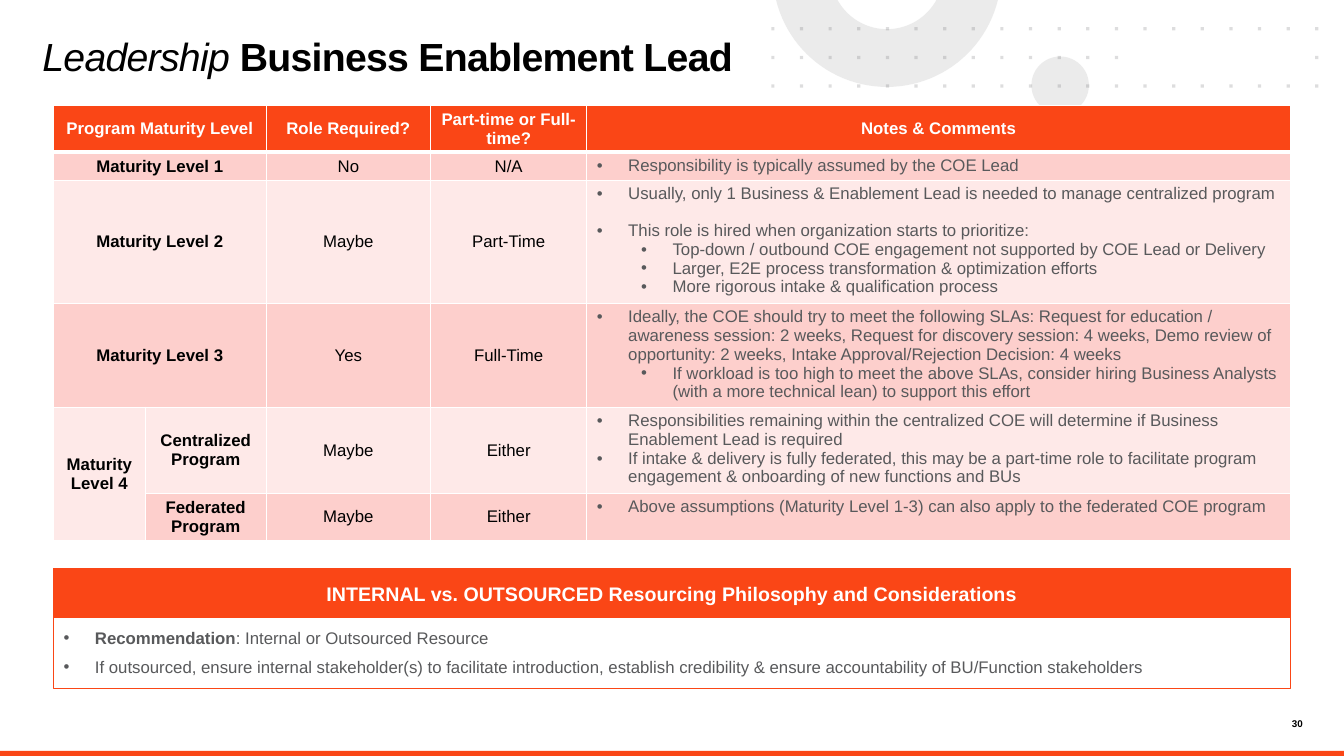
"""Build the slide on staffing the Business Enablement Lead role."""
from dataclasses import dataclass
from math import asin, cos, pi, sin

from lxml.etree import SubElement
from pptx import Presentation
from pptx.dml.color import RGBColor
from pptx.enum.shapes import MSO_SHAPE
from pptx.enum.text import MSO_ANCHOR, MSO_AUTO_SIZE, PP_ALIGN
from pptx.oxml.ns import qn
from pptx.shapes.autoshape import Shape
from pptx.slide import Slide
from pptx.table import _Cell
from pptx.text.text import TextFrame
from pptx.util import Emu, Inches, Pt

ORANGE = RGBColor(0xFA, 0x46, 0x16)
DARK_PINK = RGBColor(0xFD, 0xCF, 0xCC)
LIGHT_PINK = RGBColor(0xFE, 0xE9, 0xE8)
SLATE = RGBColor(0x58, 0x59, 0x5B)
SILVER = RGBColor(0xD9, 0xD9, 0xD9)
BLACK = RGBColor(0, 0, 0)
WHITE = RGBColor(255, 255, 255)

WIDTH, HEIGHT = Inches(13.33), Inches(7.5)
LEFT, SPAN = 3.98, 92.04
COLUMNS = (6.83, 9, 12.23, 11.63, 52.35)
ROWS = (6.2, 3.7, 16.3, 13.75, 11.4, 6.2)
HEADINGS = ("Program Maturity Level", "", "Role Required?", "Part-time or Full-time?", "Notes & Comments")
BULLET_INDENTS = (2.33, 5.63)


@dataclass(frozen=True)
class Note:
    """One bulleted comment."""
    text: str
    depth: int = 0
    gap: float = 0


@dataclass(frozen=True)
class Level:
    """One row of the maturity table."""
    name: str
    program: str
    required: str
    time: str
    notes: tuple[Note, ...]


LEVELS = (
    Level("Maturity Level 1", "", "No", "N/A", (
        Note("Responsibility is typically assumed by the COE Lead"),)),
    Level("Maturity Level 2", "", "Maybe", "Part-Time", (
        Note("Usually, only 1 Business & Enablement Lead is needed to manage centralized program"),
        Note("This role is hired when organization starts to prioritize:", gap=13),
        Note("Top-down / outbound COE engagement not supported by COE Lead or Delivery", 1),
        Note("Larger, E2E process transformation & optimization efforts", 1),
        Note("More rigorous intake & qualification process", 1))),
    Level("Maturity Level 3", "", "Yes", "Full-Time", (
        Note("Ideally, the COE should try to meet the following SLAs: Request for education / awareness "
             "session: 2 weeks, Request for discovery session: 4 weeks, Demo review of opportunity: "
             "2 weeks, Intake Approval/Rejection Decision: 4 weeks"),
        Note("If workload is too high to meet the above SLAs, consider hiring Business Analysts "
             "(with a more technical lean) to support this effort", 1))),
    Level("Maturity Level 4", "Centralized Program", "Maybe", "Either", (
        Note("Responsibilities remaining within the centralized COE will determine if Business "
             "Enablement Lead is required"),
        Note("If intake & delivery is fully federated, this may be a part-time role to facilitate "
             "program engagement & onboarding of new functions and BUs"))),
    Level("", "Federated Program", "Maybe", "Either", (
        Note("Above assumptions (Maturity Level 1-3) can also apply to the federated COE program"),)),
)


def across(percent: float) -> Emu:
    """Return a share of the slide's width."""
    return Emu(round(WIDTH * percent / 100))


def down(percent: float) -> Emu:
    """Return a share of the slide's height."""
    return Emu(round(HEIGHT * percent / 100))


def write(frame: TextFrame, text: str, *, size: float = 12, color: RGBColor = BLACK, bold: bool = False,
          italic: bool = False, align: PP_ALIGN = PP_ALIGN.LEFT, depth: int | None = None,
          before: float = 0, after: float = 0, leading: float = 1, tracking: int = 0,
          join: bool = False) -> None:
    """Add formatted text as a new paragraph or as a further run."""
    paragraph = frame.paragraphs[-1]
    if paragraph.runs and not join:
        paragraph = frame.add_paragraph()
    if not join:
        paragraph.alignment = align
        paragraph.line_spacing = leading
        paragraph.space_before, paragraph.space_after = Pt(before), Pt(after)
        if depth is not None:
            properties = paragraph._p.get_or_add_pPr()
            properties.set("marL", str(across(BULLET_INDENTS[depth])))
            properties.set("indent", str(-across(BULLET_INDENTS[0])))
            SubElement(properties, qn("a:buFont"), typeface="Arial")
            SubElement(properties, qn("a:buChar"), char="•")
    run = paragraph.add_run()
    run.text = text
    run.font.name, run.font.size = "Arial", Pt(size)
    run.font.bold, run.font.italic = bold, italic
    run.font.color.rgb = color
    if tracking:
        run._r.get_or_add_rPr().set("spc", str(tracking))


def set_frame(frame: TextFrame, inset: float = 0, anchor: MSO_ANCHOR = MSO_ANCHOR.TOP) -> None:
    """Set wrapping, insets and anchor of a text frame."""
    frame.word_wrap, frame.auto_size = True, MSO_AUTO_SIZE.NONE
    frame.vertical_anchor = anchor
    frame.margin_left = frame.margin_right = frame.margin_top = frame.margin_bottom = across(inset)


def place(shape: Shape, left: float, top: float, width: float, height: float) -> None:
    """Move a shape to shares of the slide."""
    shape.left, shape.top, shape.width, shape.height = across(left), down(top), across(width), down(height)


def paint(shape: Shape, color: RGBColor, opacity: int = 100) -> None:
    """Fill a shape flat, without line or shadow."""
    shape.shadow.inherit = False
    shape.line.fill.background()
    shape.fill.solid()
    shape.fill.fore_color.rgb = color
    if opacity < 100:
        SubElement(shape.fill._xPr.find(".//" + qn("a:srgbClr")), qn("a:alpha"), val=str(opacity * 1000))


def draw_decoration(slide: Slide) -> None:
    """Draw the ring, disc, dot grid and bottom stripe."""
    center_x, center_y, steps = across(66), down(-3.6), 48

    def arc(radius: Emu) -> list[tuple[float, float]]:
        start = asin(-center_y / radius)
        angles = [start + (pi - 2 * start) * step / steps for step in range(steps + 1)]
        return [(center_x + radius * cos(angle), center_y + radius * sin(angle)) for angle in angles]

    ring_points = arc(across(8.5)) + arc(across(4.2))[::-1]
    ring = slide.shapes.build_freeform(*ring_points[0])
    ring.add_line_segments(ring_points[1:])
    disc = slide.shapes.add_shape(MSO_SHAPE.OVAL, across(76.74), down(7.47), across(4.28), across(4.28))
    for shape in (ring.convert_to_shape(), disc):
        paint(shape, SILVER, 50)

    pitch, side = across(2.13), across(0.24)
    corners = [(across(57.39) + column * pitch, down(3.6) + row * pitch)
               for row in range(3) for column in range(20) if row != 1 or column not in range(13, 19)]
    dots = slide.shapes.build_freeform(*corners[0])
    for x, y in corners:
        dots.move_to(x, y)
        dots.add_line_segments([(x + side, y), (x + side, y + side), (x, y + side)])
    paint(dots.convert_to_shape(), SLATE, 20)

    paint(slide.shapes.add_shape(MSO_SHAPE.RECTANGLE, 0, down(99.33), WIDTH, down(0.67)), ORANGE)


def style_cell(cell: _Cell, fill: RGBColor, top: float = 1, bottom: float = 1) -> None:
    """Give a cell its margins, white borders and fill."""
    cell.margin_left = cell.margin_right = across(0.75)
    cell.margin_top = cell.margin_bottom = down(0.53)
    for edge, points in (("L", 1), ("R", 1), ("T", top), ("B", bottom)):
        line = SubElement(cell._tc.get_or_add_tcPr(), qn(f"a:ln{edge}"), w=str(Pt(points)))
        SubElement(SubElement(line, qn("a:solidFill")), qn("a:srgbClr"), val=str(WHITE))
    cell.fill.solid()
    cell.fill.fore_color.rgb = fill


def draw_table(slide: Slide) -> None:
    """Draw the maturity table."""
    table = slide.shapes.add_table(len(ROWS), len(COLUMNS), across(LEFT), down(13.93),
                                   across(SPAN), down(sum(ROWS))).table
    table.first_row = table.horz_banding = False
    for column, share in zip(table.columns, COLUMNS):
        column.width = across(share)
    for row, share in zip(table.rows, ROWS):
        row.height = down(share)
    for index, heading in enumerate(HEADINGS):
        cell = table.cell(0, index)
        style_cell(cell, ORANGE, bottom=3)
        cell.vertical_anchor = MSO_ANCHOR.MIDDLE
        if heading:
            write(cell.text_frame, heading, color=WHITE, bold=True, align=PP_ALIGN.CENTER)
    for row, level in enumerate(LEVELS, 1):
        for index, label in enumerate((level.name, level.program, level.required, level.time, "")):
            cell = table.cell(row, index)
            style_cell(cell, DARK_PINK if row % 2 else LIGHT_PINK, top=3 if row == 1 else 1)
            if label:
                cell.vertical_anchor = MSO_ANCHOR.MIDDLE
                write(cell.text_frame, label, bold=index < 2, align=PP_ALIGN.CENTER)
        for note in level.notes:
            write(table.cell(row, 4).text_frame, note.text, color=SLATE, depth=note.depth, before=note.gap)
    for row in range(4):
        table.cell(row, 0).merge(table.cell(row, 1))
    table.cell(4, 0).merge(table.cell(5, 0))


def draw_resourcing(slide: Slide) -> None:
    """Draw the resourcing panel and its heading bar."""
    advice = slide.placeholders[1]
    place(advice, LEFT, 81.73, SPAN, 9.33)
    advice.fill.solid()
    advice.fill.fore_color.rgb = WHITE
    set_frame(advice.text_frame, 0.75)
    write(advice.text_frame, "Recommendation", color=SLATE, bold=True, depth=0, after=6)
    write(advice.text_frame, ": Internal or Outsourced Resource", color=SLATE, join=True)
    write(advice.text_frame, "If outsourced, ensure internal stakeholder(s) to facilitate introduction, establish "
          "credibility & ensure accountability of BU/Function stakeholders", color=SLATE, depth=0, after=6)
    bar = slide.shapes.add_shape(MSO_SHAPE.RECTANGLE, across(LEFT), down(75.2), across(SPAN), down(6.53))
    paint(bar, ORANGE)
    set_frame(bar.text_frame, 0.75, MSO_ANCHOR.MIDDLE)
    write(bar.text_frame, "INTERNAL vs. OUTSOURCED Resourcing Philosophy and Considerations",
          size=14, color=WHITE, bold=True, align=PP_ALIGN.CENTER)
    for panel in (advice, bar):
        panel.line.color.rgb, panel.line.width = ORANGE, Pt(0.75)


def main() -> None:
    """Build and save the presentation."""
    deck = Presentation()
    deck.slide_width, deck.slide_height = WIDTH, HEIGHT
    slide = deck.slides.add_slide(deck.slide_layouts[1])
    draw_decoration(slide)
    title = slide.shapes.title
    place(title, 3.15, 5.2, 54.24, 10)
    set_frame(title.text_frame)
    write(title.text_frame, "Leadership ", size=28, italic=True, leading=0.85, tracking=-50)
    write(title.text_frame, "Business Enablement Lead", size=28, bold=True, tracking=-50, join=True)
    draw_table(slide)
    draw_resourcing(slide)
    number = slide.shapes.add_textbox(across(94), down(94.9), across(2.93), down(1.73)).text_frame
    set_frame(number)
    write(number, "30", size=7, bold=True, align=PP_ALIGN.RIGHT)
    deck.save("out.pptx")


if __name__ == "__main__":
    main()
